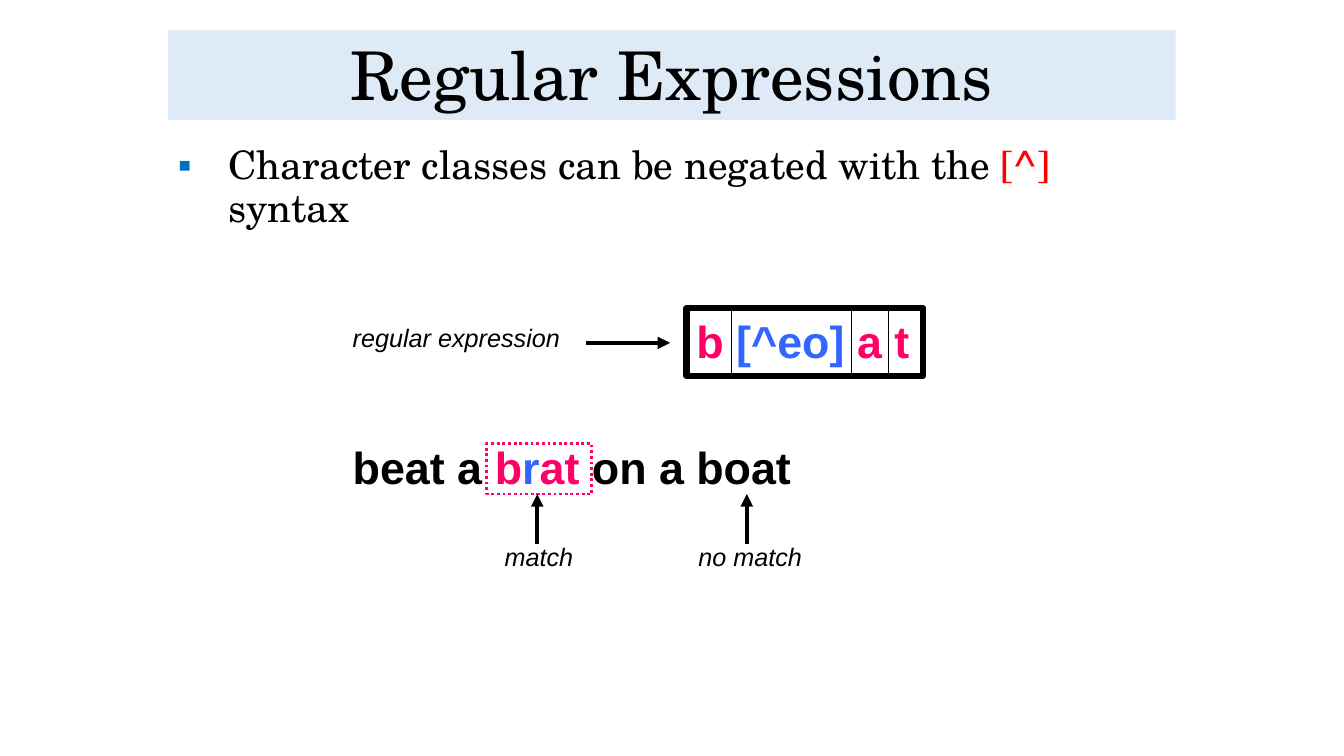
import pptx
import pptx.util
import pptx.dml.color
import pptx.enum.dml
import pptx.enum.shapes
import pptx.enum.text
import pptx.oxml.ns
from lxml import etree

Cm, Pt = pptx.util.Cm, pptx.util.Pt
RGB = pptx.dml.color.RGBColor
ALIGN = pptx.enum.text.PP_ALIGN
ANCHOR = pptx.enum.text.MSO_ANCHOR
qn = pptx.oxml.ns.qn

BLACK = RGB(0x00, 0x00, 0x00)
RED = RGB(0xFF, 0x00, 0x00)
PINK = RGB(0xFF, 0x00, 0x66)
BLUE = RGB(0x33, 0x66, 0xFF)
BULLET = RGB(0x00, 0x70, 0xC0)
PALE = RGB(0xDE, 0xEB, 0xF7)
SERIF, SANS = "TeX Gyre Schola", "Arial"

TITLE = [("Regular Expressions", BLACK)]
BODY = [("Character classes can be negated with the ", BLACK), ("[^]", RED),
        (" syntax", BLACK)]
PATTERN = [("b ", PINK), ("[^eo] ", BLUE), ("a t", PINK)]
SENTENCE = [("beat a ", BLACK), ("b", PINK), ("r", BLUE), ("at", PINK),
            (" on a boat", BLACK)]
LABELS = [
    ("regular expression", 8.64, 8.0, 5.74),
    ("match", 12.47, 13.51, 2.24),
    ("no match", 17.35, 13.51, 3.12),
]
PATTERN_BOX = (17.3, 7.77, 5.97, 1.7)
MATCH_BOX = (12.27, 11.18, 2.64, 1.27)
DIVIDERS = [18.44, 21.46, 22.38]
ARROWS = [
    (14.76, 8.64, 16.89, 8.64),
    (13.54, 13.72, 13.54, 12.45),
    (18.82, 13.72, 18.82, 12.45),
]


def write(tf, runs, size, font=SANS, bold=False, italic=False,
          align=ALIGN.LEFT, spacing=1.0, anchor=ANCHOR.TOP, wrap=True):
    tf.auto_size = pptx.enum.text.MSO_AUTO_SIZE.NONE
    tf.word_wrap = wrap
    tf.vertical_anchor = anchor
    p = tf.paragraphs[0]
    p.alignment = align
    p.line_spacing = spacing
    p.space_before = Pt(0)
    for text, color in runs:
        r = p.add_run()
        r.text = text
        r.font.name = font
        r.font.size = Pt(size)
        r.font.bold = bold
        r.font.italic = italic
        r.font.color.rgb = color
    return p


def place(sp, x, y, w, h):
    sp.left, sp.top, sp.width, sp.height = Cm(x), Cm(y), Cm(w), Cm(h)


def add_text(s, x, y, w, h, runs, size, **fmt):
    sp = s.shapes.add_textbox(Cm(x), Cm(y), Cm(w), Cm(h))
    write(sp.text_frame, runs, size, **fmt)


def add_frame(s, box, color, width):
    sp = s.shapes.add_shape(pptx.enum.shapes.MSO_SHAPE.RECTANGLE,
                            *[Cm(v) for v in box])
    sp.shadow.inherit = False
    sp.fill.background()
    sp.line.color.rgb = color
    sp.line.width = Pt(width)
    return sp


def add_line(s, x1, y1, x2, y2, width, arrow=False):
    c = s.shapes.add_connector(pptx.enum.shapes.MSO_CONNECTOR.STRAIGHT,
                               Cm(x1), Cm(y1), Cm(x2), Cm(y2))
    c.line.color.rgb = BLACK
    c.line.width = Pt(width)
    if arrow:
        etree.SubElement(c.line._get_or_add_ln(), qn("a:tailEnd"), type="triangle")
    etree.SubElement(c._element.spPr, qn("a:effectLst"))


def add_bullet(p, char, color, indent):
    pPr = p._p.get_or_add_pPr()
    pPr.set("marL", str(indent))
    pPr.set("indent", str(-indent))
    clr = etree.SubElement(pPr, qn("a:buClr"))
    etree.SubElement(clr, qn("a:srgbClr"), val=str(color))
    etree.SubElement(pPr, qn("a:buFont"), typeface=SANS)
    etree.SubElement(pPr, qn("a:buChar"), char=char)


def main():
    prs = pptx.Presentation()
    prs.slide_width, prs.slide_height = Cm(33.87), Cm(19.05)
    s = prs.slides.add_slide(prs.slide_layouts[0])

    title, body = s.placeholders
    place(title, 4.23, 0.76, 25.4, 2.27)
    title.fill.solid()
    title.fill.fore_color.rgb = PALE
    write(title.text_frame, TITLE, 48, font=SERIF, align=ALIGN.CENTER,
          spacing=0.9, anchor=ANCHOR.BOTTOM)
    place(body, 4.23, 3.55, 25.4, 12.25)
    p = write(body.text_frame, BODY, 28, font=SERIF, spacing=0.9)
    add_bullet(p, "▪", BULLET, Cm(1.27))

    x, y, w, h = PATTERN_BOX
    add_text(s, x, y, 8.89, 1.6, PATTERN, 32, bold=True)
    add_text(s, 8.64, 10.95, 17.15, 1.6, SENTENCE, 32, bold=True)
    for text, lx, ly, lw in LABELS:
        add_text(s, lx, ly, lw, 1.02, [(text, BLACK)], 18, italic=True, wrap=False)

    add_frame(s, PATTERN_BOX, BLACK, 4.5)
    dotted = add_frame(s, MATCH_BOX, PINK, 2)
    dotted.line.dash_style = pptx.enum.dml.MSO_LINE.ROUND_DOT
    for dx in DIVIDERS:
        add_line(s, dx, y, dx, y + h, 0.75)
    for ends in ARROWS:
        add_line(s, *ends, 3, arrow=True)

    prs.save("out.pptx")


if __name__ == "__main__":
    main()
